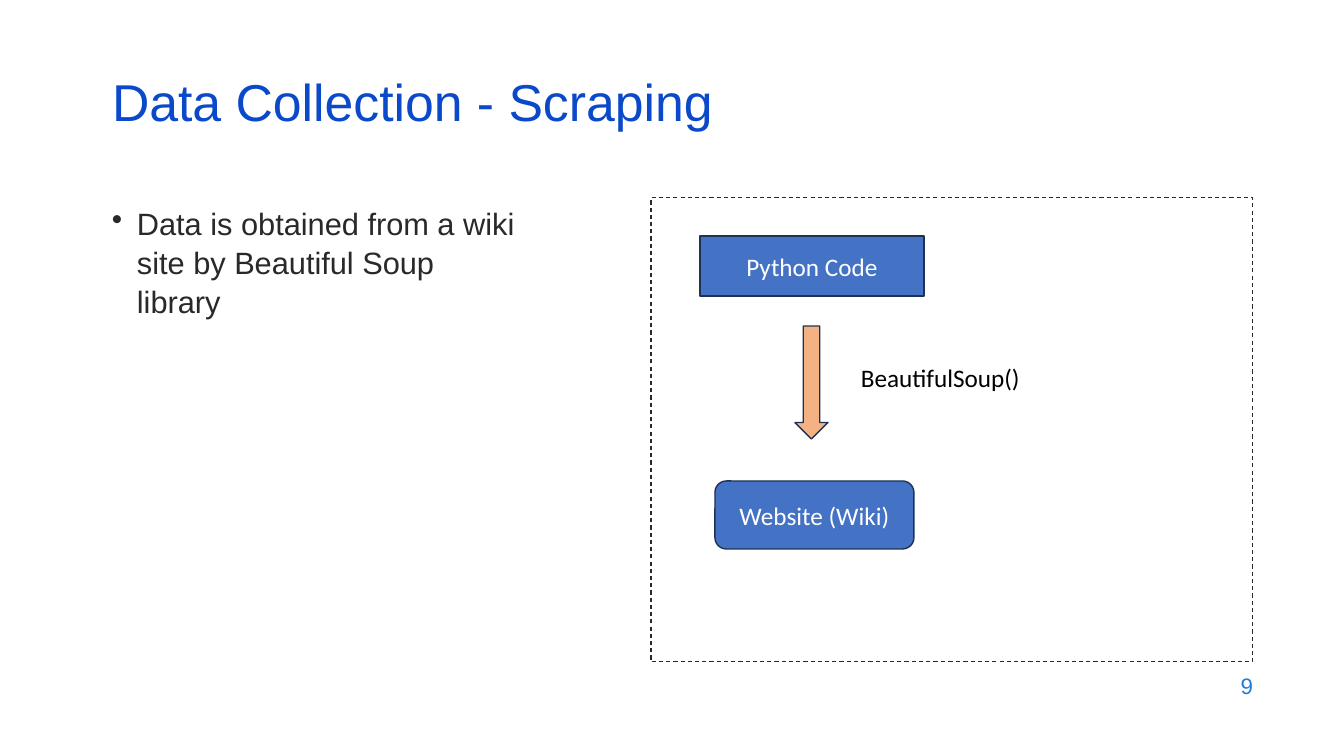
import pptx
import pptx.util
import pptx.dml.color
import pptx.enum.dml
import pptx.enum.shapes
import pptx.enum.text
import pptx.oxml

PX = 914400 / 100.8
COLORS = {
    "title": "0B49CB",
    "body": "292929",
    "number": "1C7DDB",
    "frame": "292929",
    "box": "4472C4",
    "outline": "1E3256",
    "arrow": "F4B183",
    "white": "FFFFFF",
    "black": "000000",
}
SHAPES = pptx.enum.shapes.MSO_SHAPE
ALIGN = pptx.enum.text.PP_ALIGN
ANCHOR = pptx.enum.text.MSO_ANCHOR


def px(n):
    return pptx.util.Emu(round(n * PX))


def color(name):
    return pptx.dml.color.RGBColor.from_string(COLORS[name])


def write(s, text, size, fill, font="Arial", align=ALIGN.LEFT,
          anchor=ANCHOR.TOP, spacing=None, bullet=False):
    tf = s.text_frame
    tf.word_wrap = True
    tf.auto_size = pptx.enum.text.MSO_AUTO_SIZE.NONE
    tf.vertical_anchor = anchor
    p = tf.paragraphs[0]
    p.alignment = align
    if spacing:
        p.line_spacing = spacing
    if bullet:
        pPr = p._p.get_or_add_pPr()
        pPr.set("marL", str(px(25)))
        pPr.set("indent", str(px(-25)))
        pPr.append(pptx.oxml.parse_xml(
            '<a:buChar xmlns:a="http://schemas.openxmlformats.org/'
            'drawingml/2006/main" char="•"/>'))
    r = p.add_run()
    r.text = text
    r.font.name = font
    r.font.size = pptx.util.Pt(size)
    r.font.color.rgb = color(fill)


def add_text(slide, box, text, size, fill, **fmt):
    s = slide.shapes.add_textbox(*map(px, box))
    write(s, text, size, fill, **fmt)


def add_shape(slide, kind, box, fill=None, line="outline", width=1,
              dash=None, text=None):
    s = slide.shapes.add_shape(kind, *map(px, box))
    s.shadow.inherit = False
    if fill:
        s.fill.solid()
        s.fill.fore_color.rgb = color(fill)
    else:
        s.fill.background()
    s.line.color.rgb = color(line)
    s.line.width = pptx.util.Pt(width)
    if dash:
        s.line.dash_style = dash
    if text:
        write(s, text, 18, "white", font="Calibri", align=ALIGN.CENTER,
              anchor=ANCHOR.MIDDLE)


def main():
    prs = pptx.Presentation()
    prs.slide_width, prs.slide_height = px(1344), px(756)
    slide = prs.slides.add_slide(prs.slide_layouts[5])

    # Title
    title = slide.shapes.title
    title.left, title.top, title.width, title.height = map(
        px, (102, 77, 1159, 60))
    write(title, "Data Collection - Scraping", 37, "title",
          anchor=ANCHOR.MIDDLE, spacing=0.8)

    # Body and slide number
    add_text(slide, (102, 198, 433, 420),
             "Data is obtained from a wiki site by Beautiful Soup library",
             22, "body", spacing=1.05, bullet=True)
    add_text(slide, (961, 664, 302, 44), "9", 16, "number",
             align=ALIGN.RIGHT, anchor=ANCHOR.MIDDLE)

    # Scraping flow
    add_shape(slide, SHAPES.RECTANGLE, (651, 198, 602, 464), line="frame",
              width=0.75, dash=pptx.enum.dml.MSO_LINE.DASH)
    add_shape(slide, SHAPES.RECTANGLE, (700, 236, 224, 60), fill="box",
              text="Python Code")
    add_shape(slide, SHAPES.DOWN_ARROW, (795, 326, 33, 113), fill="arrow")
    add_shape(slide, SHAPES.ROUNDED_RECTANGLE, (715, 481, 199, 68),
              fill="box", text="Website (Wiki)")
    add_text(slide, (851, 357, 224, 40), "BeautifulSoup()", 18, "black",
             font="Calibri")

    prs.save("out.pptx")


if __name__ == "__main__":
    main()
